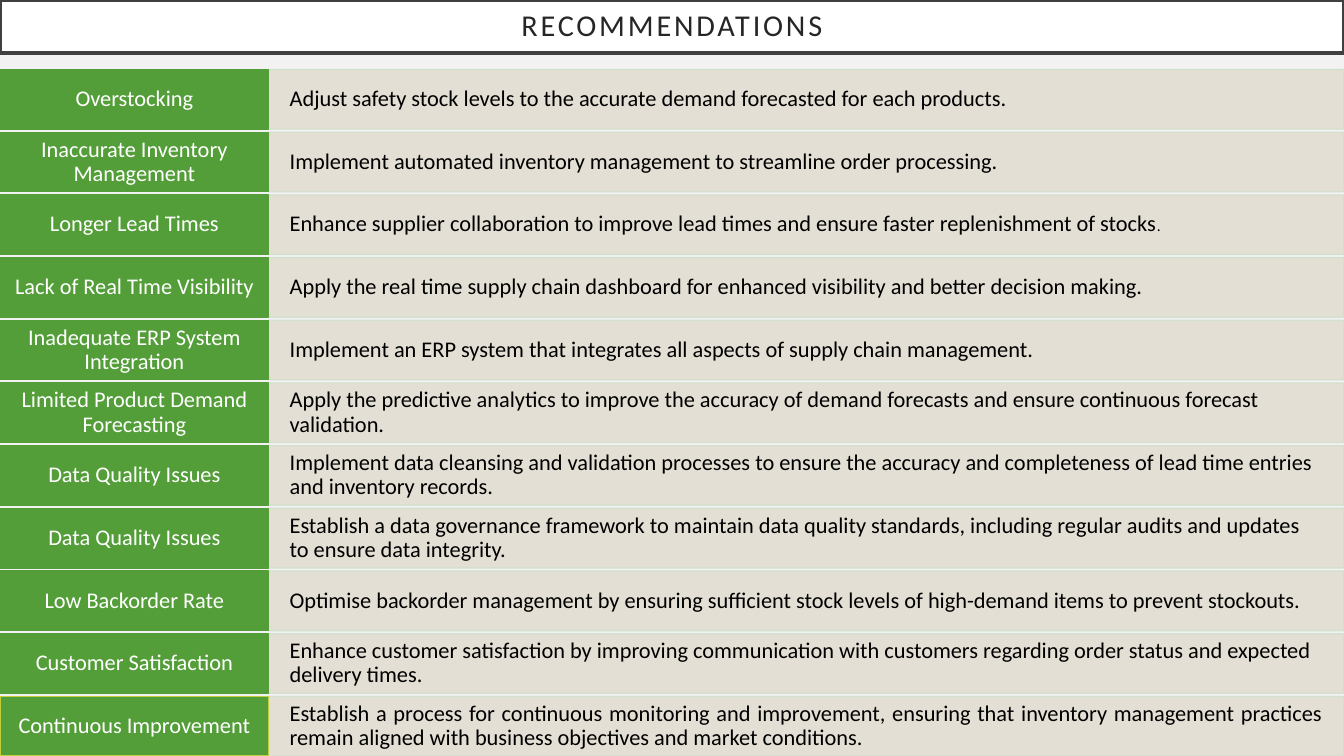
from lxml.etree import SubElement
from pptx import Presentation
from pptx.dml.color import RGBColor
from pptx.enum.shapes import MSO_SHAPE
from pptx.enum.text import MSO_ANCHOR, PP_ALIGN
from pptx.oxml.ns import qn
from pptx.util import Pt

COLORS = {
    "background": "F2F2F2",
    "white": "FFFFFF",
    "frame": "404040",
    "title": "262626",
    "green": "549E39",
    "lime": "C0CF3A",
    "sand": "E3DED1",
    "sage": "D1DFCE",
    "black": "000000",
}
WIDTH, HEIGHT = 960, 540
LABEL_WIDTH = 192
ROW_HEIGHT = 42.5
FIRST_TOP = 49.7

ROWS = [
    ("Overstocking",
     ["Adjust safety stock levels to the accurate demand forecasted for each products."]),
    ("Inaccurate Inventory Management",
     ["Implement automated inventory management to streamline order processing."]),
    ("Longer Lead Times",
     ["Enhance supplier collaboration to improve lead times and ensure faster "
      "replenishment of stocks", "."]),
    ("Lack of Real Time Visibility",
     ["Apply the real time supply chain dashboard for enhanced visibility and better "
      "decision making."]),
    ("Inadequate ERP System Integration",
     ["Implement an ERP system that integrates all aspects of supply chain management."]),
    ("Limited Product Demand Forecasting",
     ["Apply the predictive analytics to improve the accuracy of demand forecasts and "
      "ensure continuous forecast validation."]),
    ("Data Quality Issues",
     ["Implement data cleansing and validation processes to ensure the accuracy and "
      "completeness of lead time entries and inventory records."]),
    ("Data Quality Issues",
     ["Establish a data governance framework to maintain data quality standards, "
      "including regular audits and updates to ensure data integrity."]),
    ("Low Backorder Rate",
     ["Optimise backorder management by ensuring sufficient stock levels of high-demand "
      "items to prevent stockouts."]),
    ("Customer Satisfaction",
     ["Enhance customer satisfaction by improving communication with customers regarding "
      "order status and expected delivery times."]),
    ("Continuous Improvement",
     ["Establish a process for continuous monitoring and improvement, ensuring that "
      "inventory management practices remain aligned with business objectives and "
      "market conditions."]),
]


def paint(target, color, opacity=100):
    target.solid()
    target.fore_color.rgb = RGBColor.from_string(COLORS[color])
    if opacity < 100:
        for node in target._xPr.iter(qn("a:srgbClr")):
            if node.getparent().getparent() is target._xPr:
                SubElement(node, qn("a:alpha"), val=str(opacity * 1000))


def add_box(left, top, width, height, fill, line, line_width, texts, color,
            sizes, align, inset, opacity=100):
    box = page.shapes.add_shape(
        MSO_SHAPE.RECTANGLE, Pt(left), Pt(top), Pt(width), Pt(height))
    box.shadow.inherit = False
    paint(box.fill, fill, opacity)
    paint(box.line.fill, line, opacity)
    box.line.width = Pt(line_width)
    frame_format = {
        "word_wrap": True, "vertical_anchor": MSO_ANCHOR.MIDDLE,
        "margin_left": Pt(inset), "margin_right": Pt(inset),
        "margin_top": 0, "margin_bottom": 0,
    }
    for name, value in frame_format.items():
        setattr(box.text_frame, name, value)
    para = box.text_frame.paragraphs[0]
    for name, value in {"alignment": align, "line_spacing": 0.9}.items():
        setattr(para, name, value)
    for text, size in zip(texts, sizes):
        span = para.add_run()
        span.text = text
        for name, value in {"name": "Calibri", "size": Pt(size)}.items():
            setattr(span.font, name, value)
        span.font.color.rgb = RGBColor.from_string(COLORS[color])
    return box


deck = Presentation()
deck.slide_width, deck.slide_height = Pt(WIDTH), Pt(HEIGHT)
page = deck.slides.add_slide(deck.slide_layouts[6])
paint(page.background.fill, "background")

title = add_box(0, 0, WIDTH, 38, "white", "frame", 2.5, ["RECOMMENDATIONS"],
                "title", [21.6], PP_ALIGN.CENTER, 14.4)
title.text_frame.paragraphs[0].runs[0].font._element.set("spc", "200")

pitch = (HEIGHT - ROW_HEIGHT - FIRST_TOP) / (len(ROWS) - 1)
for index, (issue, advice) in enumerate(ROWS):
    top = FIRST_TOP + index * pitch
    last = index == len(ROWS) - 1
    add_box(LABEL_WIDTH, top, WIDTH - LABEL_WIDTH, ROW_HEIGHT, "sand", "sage", 1,
            advice, "black", [16, 11],
            PP_ALIGN.JUSTIFY if last else PP_ALIGN.LEFT, 14.9, opacity=90)
    add_box(0, top, LABEL_WIDTH, ROW_HEIGHT, "green", "lime" if last else "green", 1,
            [issue], "white", [16], PP_ALIGN.CENTER, 9.8)

deck.save("out.pptx")
